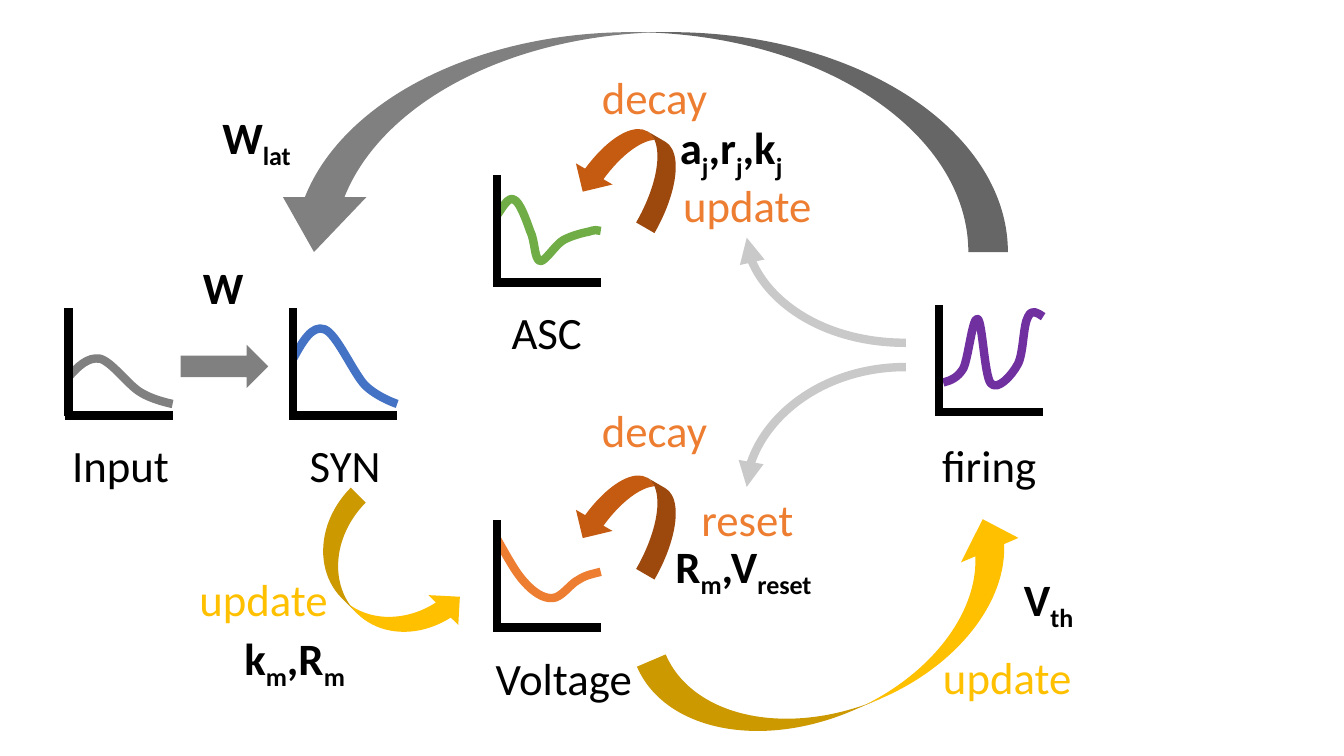
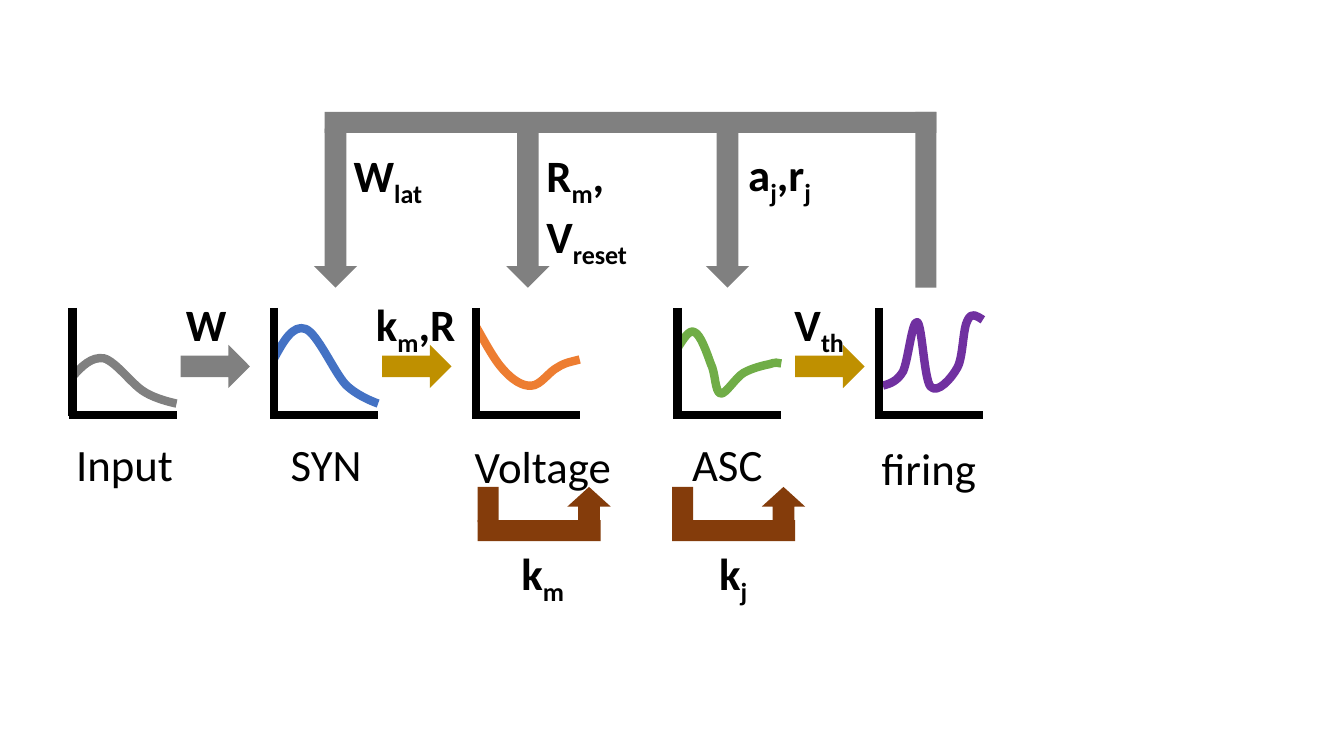
from lxml import etree
from pptx import Presentation
from pptx.dml.color import RGBColor
from pptx.enum.shapes import MSO_CONNECTOR, MSO_SHAPE
from pptx.enum.text import MSO_AUTO_SIZE, PP_ALIGN
from pptx.oxml.ns import qn
from pptx.util import Cm, Pt

STRAIGHT, CURVED = MSO_CONNECTOR.STRAIGHT, MSO_CONNECTOR.CURVE
BAR, SWOOP = MSO_SHAPE.RECTANGLE, MSO_SHAPE.CURVED_UP_ARROW
RIGHT, DOWN, UP = MSO_SHAPE.RIGHT_ARROW, MSO_SHAPE.DOWN_ARROW, MSO_SHAPE.UP_ARROW
CENTER, LEFT = PP_ALIGN.CENTER, PP_ALIGN.LEFT
GROW = MSO_AUTO_SIZE.SHAPE_TO_FIT_TEXT

BLACK = RGBColor(0x00, 0x00, 0x00)
GRAY = RGBColor(0x80, 0x80, 0x80)
PALE = RGBColor(0xC9, 0xC9, 0xC9)
BLUE = RGBColor(0x44, 0x72, 0xC4)
GREEN = RGBColor(0x70, 0xAD, 0x47)
PURPLE = RGBColor(0x70, 0x30, 0xA0)
ORANGE = RGBColor(0xED, 0x7D, 0x31)
RUST = RGBColor(0xC5, 0x5A, 0x11)
BROWN = RGBColor(0x84, 0x3C, 0x0B)
GOLD = RGBColor(0xFF, 0xC0, 0x00)
DARK_GOLD = RGBColor(0xBF, 0x90, 0x00)

TEXT_FORMAT = {"name": "Calibri", "size": Pt(32)}
STROKE = Pt(6)
NARROW, WIDE = 4.55, 6.07
TEXT_HEIGHT = 1.63
BAND = 0.53  # thickness of the bars
HEAD = 1.09  # width across an arrowhead

# Each plot: curve colour, label centre, top and width, then Bezier points from the axis top
PLOTS = {
    "Input": (GRAY, 1.31, 3.13, NARROW, [
        (0, 1.73), (0.23, 1.47), (0.48, 1.22), (0.79, 1.27), (1.09, 1.35),
        (1.5, 1.93), (1.8, 2.11), (2.11, 2.31), (2.62, 2.41), (2.62, 2.41)]),
    "SYN": (BLUE, 1.31, 3.13, NARROW, [
        (0, 1.27), (0.23, 0.84), (0.48, 0.41), (0.79, 0.53), (1.09, 0.64),
        (1.5, 1.6), (1.8, 1.93), (2.11, 2.24), (2.62, 2.41), (2.62, 2.41)]),
    "Voltage": (ORANGE, 1.69, 3.16, 6.43, [
        (0, 0.46), (0.23, 0.86), (0.46, 1.3), (0.69, 1.55), (0.91, 1.8),
        (1.17, 1.98), (1.4, 1.96), (1.63, 1.96), (1.85, 1.6), (2.06, 1.5),
        (2.26, 1.37), (2.44, 1.35), (2.62, 1.3)]),
    "ASC": (GREEN, 1.26, 3.13, NARROW, [
        (0, 1.02), (0.15, 0.79), (0.3, 0.53), (0.43, 0.61), (0.58, 0.66),
        (0.74, 1.12), (0.84, 1.4), (0.97, 1.65), (0.94, 2.11), (1.09, 2.16),
        (1.22, 2.18), (1.47, 1.75), (1.68, 1.63), (1.88, 1.52), (2.16, 1.45),
        (2.31, 1.42), (2.46, 1.37), (2.54, 1.37), (2.62, 1.4)]),
    "firing": (PURPLE, 1.26, 3.22, NARROW, [
        (0.1, 1.96), (0.28, 1.91), (0.46, 1.85), (0.61, 1.6), (0.74, 1.32),
        (0.84, 0.28), (0.97, 0.36), (1.09, 0.43), (1.14, 1.8), (1.3, 1.98),
        (1.47, 2.18), (1.83, 1.78), (1.98, 1.5), (2.13, 1.22), (2.11, 0.51),
        (2.24, 0.3), (2.34, 0.1), (2.46, 0.2), (2.62, 0.3)]),
}
AXES = [((0, 0), (0, 2.72)), ((-0.1, 2.7), (2.62, 2.7))]

# Blocks: shape, left, top, width, height, rotation, colour
# Texts: words ("_" switches subscript on and off), left, top, width, colour, bold, alignment
cycle = {
    "plots": {"Input": (1.73, 7.77), "SYN": (7.39, 7.77), "ASC": (12.52, 4.42),
              "Voltage": (12.52, 13.11), "firing": (23.67, 7.68)},
    "links": [((22.83, 8.64), (18.82, 5.99)), ((22.83, 9.25), (18.82, 12.27))],
    "blocks": [
        (SWOOP, 14.58, 3.23, 2.62, 2.13, 210, RUST),
        (SWOOP, 14.58, 11.96, 2.62, 2.13, 210, RUST),
        (RIGHT, 4.55, 8.69, 2.21, HEAD, 0, GRAY),
        (SWOOP, 7.44, 13.54, 4.42, 2.13, 45, GOLD),
        (SWOOP, 16.26, 14.66, 10.26, 3.15, 336.9, GOLD),
        (SWOOP, 6.86, 0.81, 18.54, 5.54, 180, GRAY),
    ],
    "texts": [
        ("decay", 14.22, 1.63, NARROW, ORANGE, False, CENTER),
        ("update", 16.56, 4.36, NARROW, ORANGE, False, CENTER),
        ("decay", 14.22, 10.03, NARROW, ORANGE, False, CENTER),
        ("reset", 16.56, 12.27, NARROW, ORANGE, False, CENTER),
        ("update", 23.11, 16.24, NARROW, GOLD, False, CENTER),
        ("update", 4.37, 14.27, NARROW, GOLD, False, CENTER),
        ("W", 3.35, 6.41, NARROW, BLACK, True, CENTER),
        ("W_lat", 4.19, 2.64, NARROW, BLACK, True, CENTER),
        ("a_j_,r_j_,k_j", 16.15, 2.9, NARROW, BLACK, True, CENTER),
        ("R_m_,V_reset", 15.7, 13.44, WIDE, BLACK, True, CENTER),
        ("V_th", 23.39, 14.27, WIDE, BLACK, True, CENTER),
        ("k_m_,R_m", 4.39, 15.77, WIDE, BLACK, True, CENTER),
    ],
}

chain = {
    "plots": {name: (1.83 + 5.08 * column, 7.76) for column, name in enumerate(PLOTS)},
    "links": [],
    "blocks": [
        (BAR, 8.18, 2.82, 15.42, BAND, 0, GRAY),
        (BAR, 23.07, 2.82, BAND, 4.43, 0, GRAY),
    ],
    "texts": [
        ("W", 2.92, 7.34, NARROW, BLACK, True, CENTER),
        ("k_m_,R", 7.44, 7.34, WIDE, BLACK, True, CENTER),
        ("V_th", 17.61, 7.36, WIDE, BLACK, True, CENTER),
        ("W_lat", 7.5, 3.6, NARROW, BLACK, True, CENTER),
        ("R_m_,\nV_reset", 13.52, 3.6, 2.72, BLACK, True, LEFT),
        ("a_j_,r_j", 17.37, 3.58, NARROW, BLACK, True, CENTER),
        ("k_m", 10.64, 13.62, WIDE, BLACK, True, CENTER),
        ("k_j", 15.44, 13.62, WIDE, BLACK, True, CENTER),
    ],
}
for left, color in [(4.55, GRAY), (9.63, DARK_GOLD), (20.04, DARK_GOLD)]:
    chain["blocks"].append((RIGHT, left, 8.69, 1.75, HEAD, 0, color))
for left in (7.91, 12.76, 17.79):
    chain["blocks"].append((DOWN, left, 3.24, HEAD, 4.01, 0, GRAY))
for left in (12.04, 16.94):
    chain["blocks"] += [
        (BAR, left, 12.27, BAND, 0.89, 0, BROWN),
        (BAR, left, 13.11, 3.1, BAND, 0, BROWN),
        (UP, left + 2.26, 12.27, HEAD, 0.99, 0, BROWN),
    ]


def bend_lines(shape):
    """Turn every three line segments of a freeform into one Bezier segment."""
    lines = list(shape._element.iter(qn("a:lnTo")))
    outline = lines[0].getparent()
    for first in range(0, len(lines), 3):
        bend = etree.SubElement(outline, qn("a:cubicBezTo"))
        for line in lines[first:first + 3]:
            bend.append(line[0])
            outline.remove(line)


def draw_stroke(shape, color):
    """Give a line or outline its colour and width, without a shadow."""
    shape.line.color.rgb = color
    shape.line.width = STROKE
    etree.SubElement(shape._element.spPr, qn("a:effectLst"))


deck = Presentation()
deck.slide_width, deck.slide_height = Cm(33.87), Cm(19.05)

for diagram in (cycle, chain):
    page = deck.slides.add_slide(deck.slide_layouts[6])
    labels = []

    for name, (x, y) in diagram["plots"].items():
        color, label_center, label_top, label_width, points = PLOTS[name]
        start, *rest = [(Cm(x + dx), Cm(y + dy)) for dx, dy in points]
        builder = page.shapes.build_freeform(*start)
        builder.add_line_segments(rest, close=False)
        curve = builder.convert_to_shape()
        bend_lines(curve)
        curve.fill.background()
        draw_stroke(curve, color)
        for (x1, y1), (x2, y2) in AXES:
            axis = page.shapes.add_connector(
                STRAIGHT, Cm(x + x1), Cm(y + y1), Cm(x + x2), Cm(y + y2))
            draw_stroke(axis, BLACK)
        labels.append((name, x + label_center - label_width / 2, y + label_top,
                       label_width, BLACK, False, CENTER))

    for (x1, y1), (x2, y2) in diagram["links"]:
        link = page.shapes.add_connector(CURVED, Cm(x1), Cm(y1), Cm(x2), Cm(y2))
        link._element.spPr.find(qn("a:prstGeom")).set("prst", "curvedConnector2")
        draw_stroke(link, PALE)
        etree.SubElement(link.line._get_or_add_ln(), qn("a:tailEnd"), type="triangle")

    for kind, left, top, width, height, rotation, color in diagram["blocks"]:
        block = page.shapes.add_shape(kind, Cm(left), Cm(top), Cm(width), Cm(height))
        block.rotation = rotation
        block.fill.solid()
        block.fill.fore_color.rgb = color
        block.line.fill.background()
        block.shadow.inherit = False
        if kind == SWOOP and color == GRAY:
            block.adjustments[0], block.adjustments[1] = 0.18, 0.38

    for words, left, top, width, color, bold, alignment in labels + diagram["texts"]:
        lines = words.split("\n")
        box = page.shapes.add_textbox(
            Cm(left), Cm(top), Cm(width), Cm(TEXT_HEIGHT * len(lines)))
        frame = box.text_frame
        frame.word_wrap = True
        frame.auto_size = GROW
        for number, line in enumerate(lines):
            para = frame.add_paragraph() if number else frame.paragraphs[0]
            para.alignment = alignment
            for position, piece in enumerate(line.split("_")):
                span = para.add_run()
                span.text = piece
                for attribute, value in {**TEXT_FORMAT, "bold": bold}.items():
                    setattr(span.font, attribute, value)
                span.font.color.rgb = color
                if position % 2:
                    span._r.get_or_add_rPr().set("baseline", "-25000")

deck.save("out.pptx")
